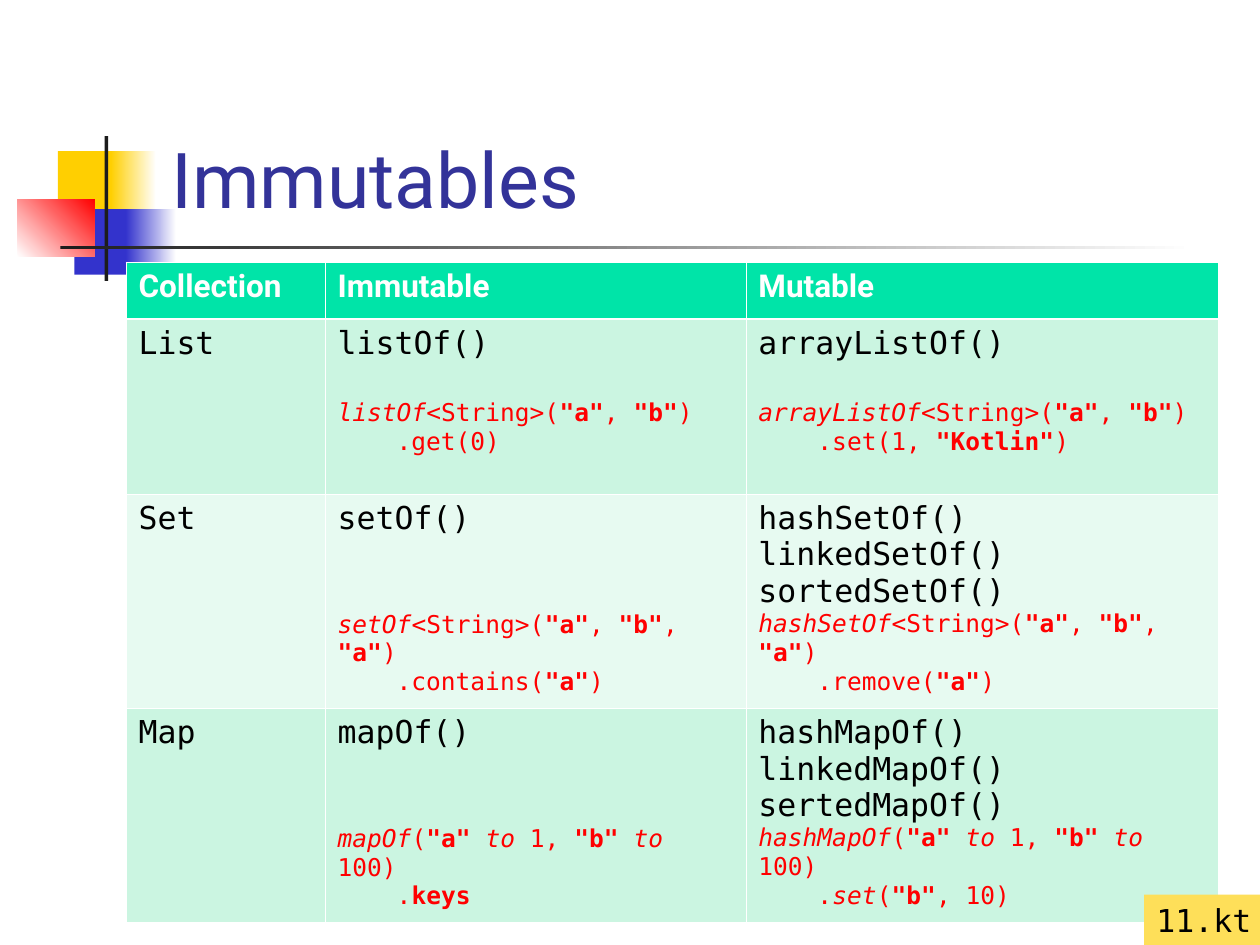
from lxml import etree
from pptx import Presentation
from pptx import util as u
from pptx.dml.color import RGBColor
from pptx.enum import shapes, text
from pptx.oxml import ns

COLORS = {
    "title": "333399", "yellow": "FFCF01", "blue": "3333CC", "red": "FF0000",
    "dark": "1C1C1C", "white": "FFFFFF", "black": "000000", "header": "00E4A8",
    "odd": "CBF5E1", "even": "E7FAF1", "tag": "FEDF59",
}
SANS, MONO = "Roboto", "DejaVu Sans Mono"
BLANK_LINE = 21
THIN, THICK = 0.45, 1.47

DECORATION = [
    ((0.46, 1.2, 0.48, 0.52), ["yellow"], 0),
    ((0.88, 1.2, 0.36, 0.52), ["yellow", "white"], 0),
    ((0.59, 1.66, 0.46, 0.52), ["blue"], 0),
    ((1, 1.66, 0.4, 0.52), ["blue", "white"], 0),
    ((0.14, 1.58, 0.61, 0.46), ["white", "red"], 45),
    ((0.83, 1.08, 0.03, 1.15), ["dark"], 0),
    ((0.48, 1.95, 9, 0.03), ["dark", "white"], 0),
]

HEADINGS = ["Collection", "Immutable", "Mutable"]
COLUMN_WIDTHS = [1.58, 3.34, 3.75]
ROW_HEIGHTS = [0.45, 1.39, 1.7, 1.7]

# In code lines, *...* is bold and _..._ is italic.
COLLECTIONS = [
    ("List",
     (["listOf()"],
      ['_listOf_<String>(*"a"*, *"b"*)', "    .get(0)"]),
     (["arrayListOf()"],
      ['_arrayListOf_<String>(*"a"*, *"b"*)', '    .set(1, *"Kotlin"*)'])),
    ("Set",
     (["setOf()"],
      ['_setOf_<String>(*"a"*, *"b"*, *"a"*)', '    .contains(*"a"*)']),
     (["hashSetOf()", "linkedSetOf()", "sortedSetOf()"],
      ['_hashSetOf_<String>(*"a"*, *"b"*, *"a"*)', '    .remove(*"a"*)'])),
    ("Map",
     (["mapOf()"],
      ['_mapOf_(*"a" *_to _1, *"b" *_to _100)', "    .*keys*"]),
     (["hashMapOf()", "linkedMapOf()", "sertedMapOf()"],
      ['_hashMapOf_(*"a" *_to _1, *"b" *_to _100)', '    ._set_(*"b"*, 10)'])),
]


def rgb(color):
    return RGBColor.from_string(COLORS[color])


def set_font(paragraph, name, size, color):
    paragraph.font.name = name
    paragraph.font.size = u.Pt(size)
    paragraph.font.color.rgb = rgb(color)


def add_block(slide, box, colors, angle=0):
    block = slide.shapes.add_shape(
        shapes.MSO_SHAPE.RECTANGLE, *[u.Inches(length) for length in box])
    block.shadow.inherit = False
    block.line.fill.background()
    if len(colors) == 1:
        block.fill.solid()
        block.fill.fore_color.rgb = rgb(colors[0])
    else:
        block.fill.gradient()
        block.fill.gradient_angle = angle
        for stop, color in zip(block.fill.gradient_stops, colors):
            stop.color.rgb = rgb(color)
    return block


def add_title(slide, wording):
    title = slide.shapes.title
    title.left, title.top = u.Inches(1.26), u.Inches(0.23)
    title.width, title.height = u.Inches(8.52), u.Inches(1.6)
    frame = title.text_frame
    frame.text = wording
    frame.auto_size = text.MSO_AUTO_SIZE.NONE
    frame.vertical_anchor = text.MSO_ANCHOR.BOTTOM
    heading = frame.paragraphs[0]
    heading.alignment = text.PP_ALIGN.LEFT
    set_font(heading, SANS, 44, "title")
    slide.shapes._spTree.append(title._element)


def set_borders(cell, top, bottom):
    properties = cell._tc.get_or_add_tcPr()
    for side, width in (("L", THIN), ("R", THIN), ("T", top), ("B", bottom)):
        border = etree.SubElement(
            properties, ns.qn(f"a:ln{side}"), w=str(u.Pt(width)))
        fill = etree.SubElement(border, ns.qn("a:solidFill"))
        etree.SubElement(fill, ns.qn("a:srgbClr"), val=COLORS["white"])


def style_cell(cell, row):
    set_borders(cell, THICK if row == 1 else THIN, THICK if row == 0 else THIN)
    cell.fill.solid()
    band = "header" if row == 0 else "odd" if row % 2 else "even"
    cell.fill.fore_color.rgb = rgb(band)


def write_label(paragraph, wording, name=MONO, color="black", bold=False):
    paragraph.text = wording
    set_font(paragraph, name, 18, color)
    paragraph.font.bold = bold


def write_code(paragraph, line):
    set_font(paragraph, MONO, 14, "red")
    for i, chunk in enumerate(line.split("*")):
        for j, part in enumerate(chunk.split("_")):
            if part:
                run = paragraph.add_run()
                run.text = part
                run.font.bold = i % 2 == 1
                run.font.italic = j % 2 == 1


def write_example(cell, functions, code, gap):
    frame = cell.text_frame
    for index, function in enumerate(functions):
        paragraph = frame.add_paragraph() if index else frame.paragraphs[0]
        write_label(paragraph, function)
    for index, line in enumerate(code):
        paragraph = frame.add_paragraph()
        if index == 0 and gap:
            paragraph.space_before = u.Pt(gap)
        write_code(paragraph, line)


def add_collections(slide):
    table = slide.shapes.add_table(
        len(ROW_HEIGHTS), len(COLUMN_WIDTHS), u.Inches(1), u.Inches(2.08),
        u.Inches(sum(COLUMN_WIDTHS)), u.Inches(sum(ROW_HEIGHTS))).table
    for column, width in zip(table.columns, COLUMN_WIDTHS):
        column.width = u.Inches(width)
    for index, height in enumerate(ROW_HEIGHTS):
        table.rows[index].height = u.Inches(height)
        for cell in table.rows[index].cells:
            style_cell(cell, index)
    for column, heading in enumerate(HEADINGS):
        write_label(table.cell(0, column).text_frame.paragraphs[0],
                    heading, SANS, "white", True)
    for row, (collection, *examples) in enumerate(COLLECTIONS, 1):
        write_label(table.cell(row, 0).text_frame.paragraphs[0], collection)
        code_start = max(2, *[len(functions) for functions, _ in examples])
        for column, (functions, code) in enumerate(examples, 1):
            gap = BLANK_LINE * (code_start - len(functions))
            write_example(table.cell(row, column), functions, code, gap)


def add_file_tag(slide, wording):
    tag = add_block(slide, (9.08, 7.1, 0.95, 0.4), ["tag"])
    frame = tag.text_frame
    frame.word_wrap = False
    frame.auto_size = text.MSO_AUTO_SIZE.SHAPE_TO_FIT_TEXT
    frame.vertical_anchor = text.MSO_ANCHOR.TOP
    write_label(frame.paragraphs[0], wording)
    frame.paragraphs[0].alignment = text.PP_ALIGN.LEFT


def main():
    presentation = Presentation()
    presentation.slide_width = u.Inches(10)
    presentation.slide_height = u.Inches(7.5)
    slide = presentation.slides.add_slide(presentation.slide_layouts[5])
    for box, colors, angle in DECORATION:
        add_block(slide, box, colors, angle)
    add_title(slide, "Immutables")
    add_collections(slide)
    add_file_tag(slide, "11.kt")
    presentation.save("out.pptx")


if __name__ == "__main__":
    main()
